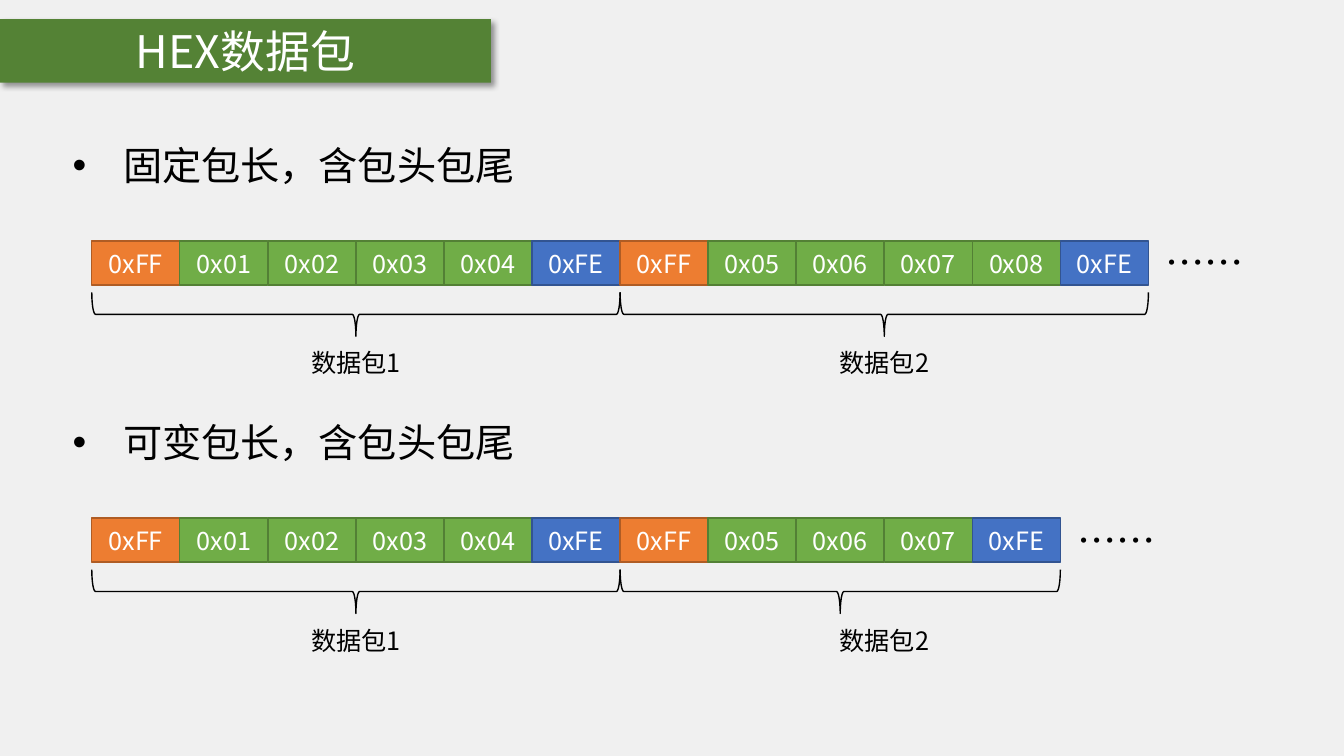
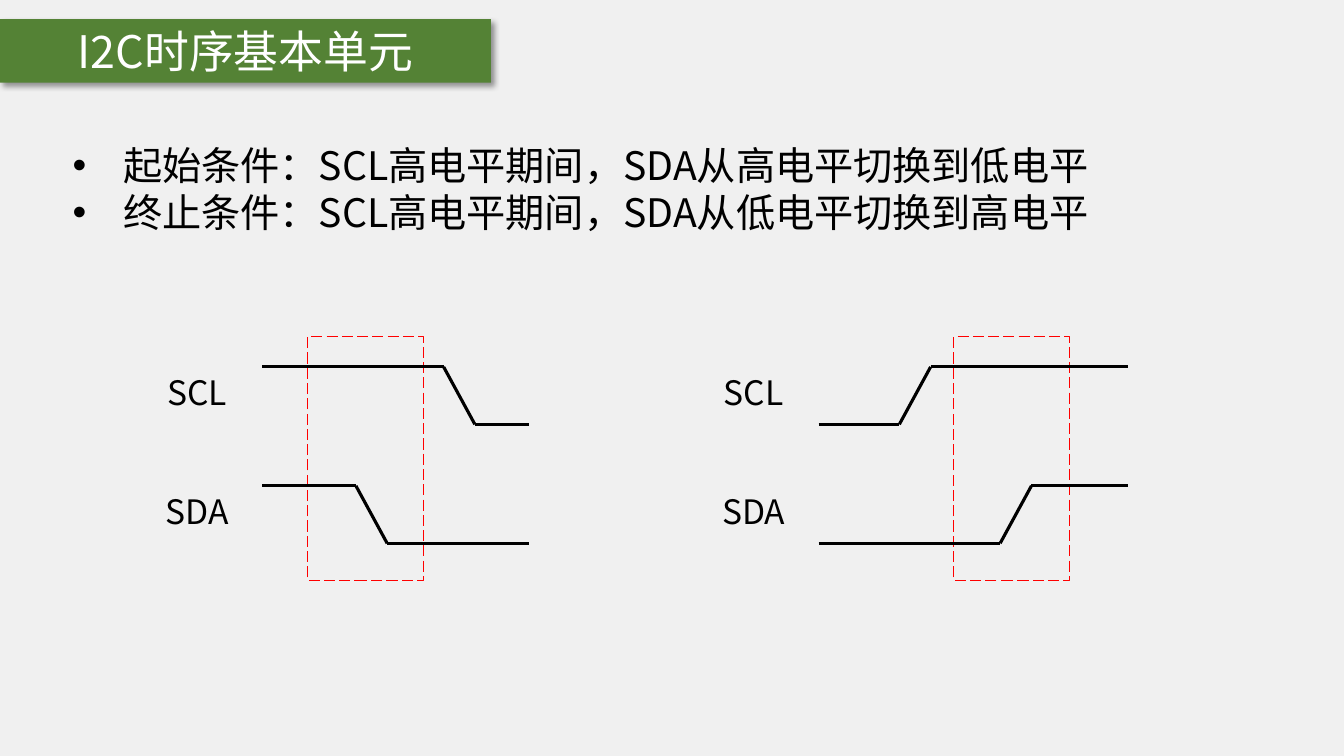
import lxml.etree
import pptx
import pptx.dml.color
import pptx.enum.dml
import pptx.enum.shapes
import pptx.enum.text
import pptx.oxml
import pptx.oxml.ns
import pptx.util

Inches = pptx.util.Inches
Pt = pptx.util.Pt
RGBColor = pptx.dml.color.RGBColor
Shape = pptx.enum.shapes.MSO_SHAPE
Align = pptx.enum.text.PP_ALIGN
Anchor = pptx.enum.text.MSO_ANCHOR
qn = pptx.oxml.ns.qn

FONT = "Noto Sans CJK SC"
BLACK = RGBColor(0x00, 0x00, 0x00)
WHITE = RGBColor(0xFF, 0xFF, 0xFF)
RED = RGBColor(0xFF, 0x00, 0x00)
BACKGROUND = RGBColor(0xF0, 0xF0, 0xF0)
BAND = RGBColor(0x54, 0x82, 0x35)
HEADER = (RGBColor(0xED, 0x7D, 0x31), RGBColor(0xAF, 0x5C, 0x24))
PAYLOAD = (RGBColor(0x70, 0xAD, 0x47), RGBColor(0x53, 0x80, 0x35))
TRAILER = (RGBColor(0x44, 0x72, 0xC4), RGBColor(0x32, 0x54, 0x91))

BODY_LEFT, BODY_TOP, BODY_WIDTH = Inches(0.62), Inches(1.35), Inches(12.08)
BODY_LINE = Inches(0.47)
BODY_PADDING = Inches(0.1)
BODY_INDENT = Inches(0.5)

SHADOW = (
    '<a:effectLst xmlns:a="http://schemas.openxmlformats.org/drawingml/2006/main">'
    '<a:outerShdw blurRad="50800" dist="38100" dir="2700000" algn="tl" rotWithShape="0">'
    '<a:srgbClr val="000000"><a:alpha val="40000"/></a:srgbClr>'
    '</a:outerShdw></a:effectLst>'
)


def write_text(shape, text, size=18, color=BLACK, align=Align.CENTER,
               anchor=Anchor.TOP, bullet=False):
    frame = shape.text_frame
    frame.word_wrap = True
    frame.auto_size = pptx.enum.text.MSO_AUTO_SIZE.NONE
    frame.vertical_anchor = anchor
    frame.text = text
    for paragraph in frame.paragraphs:
        paragraph.alignment = align
        paragraph.space_before = Pt(0)
        if bullet:
            properties = paragraph._p.get_or_add_pPr()
            properties.set("marL", str(BODY_INDENT))
            properties.set("indent", str(-BODY_INDENT))
            lxml.etree.SubElement(properties, qn("a:buFont")).set("typeface", "Arial")
            lxml.etree.SubElement(properties, qn("a:buChar")).set("char", "•")
        for run in paragraph.runs:
            run.font.size = Pt(size)
            run.font.color.rgb = color
            run.font.name = FONT
            east_asian = lxml.etree.SubElement(run._r.get_or_add_rPr(), qn("a:ea"))
            east_asian.set("typeface", FONT)


def add_titled_slide(layout, title, lists, list_pitch=0):
    slide = presentation.slides.add_slide(presentation.slide_layouts[layout])
    band, *bodies = slide.placeholders
    band.left, band.top = 0, Inches(0.19)
    band.width, band.height = Inches(4.87), Inches(0.63)
    band.fill.solid()
    band.fill.fore_color.rgb = BAND
    band._element.spPr.append(pptx.oxml.parse_xml(SHADOW))
    write_text(band, title, size=32, color=WHITE, anchor=Anchor.MIDDLE)
    for index, (body, items) in enumerate(zip(bodies, lists)):
        body.left, body.top = BODY_LEFT, BODY_TOP + index * list_pitch
        body.width = BODY_WIDTH
        body.height = BODY_PADDING + len(items) * BODY_LINE
        write_text(body, "\n".join(items), size=28, align=Align.LEFT, bullet=True)
    return slide


presentation = pptx.Presentation()
presentation.slide_width = Inches(13.33)
presentation.slide_height = Inches(7.5)
master_fill = presentation.slide_master.background.fill
master_fill.solid()
master_fill.fore_color.rgb = BACKGROUND

GRID_LEFT = Inches(0.91)
COLUMN = Inches(10.48) // 12
ROW = COLUMN // 2
BLOCK_PITCH = Inches(2.75)
LABEL_WIDTH = Inches(1.31)

packet_slide = add_titled_slide(
    3, "HEX数据包", [["固定包长，含包头包尾"], ["可变包长，含包头包尾"]], BLOCK_PITCH)
packet_blocks = [
    [["0x01", "0x02", "0x03", "0x04"], ["0x05", "0x06", "0x07", "0x08"]],
    [["0x01", "0x02", "0x03", "0x04"], ["0x05", "0x06", "0x07"]],
]
for block, packets in enumerate(packet_blocks):
    bytes_top = Inches(2.39) + block * BLOCK_PITCH
    brace_top = bytes_top + Inches(0.51)
    label_top = bytes_top + Inches(1.01)
    byte_group = packet_slide.shapes.add_group_shape()
    column = 0
    for number, payload in enumerate(packets, start=1):
        first_column = column
        for value in ["0xFF", *payload, "0xFE"]:
            fill, outline = {"0xFF": HEADER, "0xFE": TRAILER}.get(value, PAYLOAD)
            cell = byte_group.shapes.add_shape(
                Shape.RECTANGLE, GRID_LEFT + column * COLUMN, bytes_top, COLUMN, ROW)
            cell.shadow.inherit = False
            cell.fill.solid()
            cell.fill.fore_color.rgb = fill
            cell.line.color.rgb = outline
            cell.line.width = Pt(1)
            write_text(cell, value, color=WHITE, anchor=Anchor.MIDDLE)
            column += 1

        span = (column - first_column) * COLUMN
        brace_center = GRID_LEFT + first_column * COLUMN + span // 2
        brace = packet_slide.shapes.add_shape(
            Shape.RIGHT_BRACE, brace_center - ROW // 2,
            brace_top + ROW // 2 - span // 2, ROW, span)
        brace.rotation = 90
        brace.shadow.inherit = False
        brace.fill.background()
        brace.line.color.rgb = BLACK
        brace.line.width = Pt(1)

        label_center = GRID_LEFT + (first_column + 3) * COLUMN
        label = packet_slide.shapes.add_textbox(
            label_center - LABEL_WIDTH // 2, label_top, LABEL_WIDTH, Inches(0.4))
        write_text(label, f"数据包{number}")

    dots = packet_slide.shapes.add_textbox(
        GRID_LEFT + column * COLUMN, bytes_top - Inches(0.07), Inches(1.12), Inches(0.57))
    write_text(dots, "……", size=28)

SIGNAL_TOP = 3.64
SIGNAL_PITCH = 1.18
SIGNAL_SWING = 0.57
EDGE_WIDTH = 0.31
NAME_WIDTH = 1.29

timing_slide = add_titled_slide(1, "I2C时序基本单元", [[
    "起始条件：SCL高电平期间，SDA从高电平切换到低电平",
    "终止条件：SCL高电平期间，SDA从低电平切换到高电平",
]])
conditions = [
    {"left": 1.31, "right": 5.25, "window": 3.05, "levels": (0, 1),
     "edges": {"SCL": 4.4, "SDA": 3.53}},
    {"left": 6.83, "right": 11.19, "window": 9.46, "levels": (1, 0),
     "edges": {"SCL": 8.92, "SDA": 9.92}},
]
for condition in conditions:
    window = timing_slide.shapes.add_shape(
        Shape.RECTANGLE, Inches(condition["window"]), Inches(SIGNAL_TOP - 0.3),
        Inches(1.15), Inches(2.42))
    window.shadow.inherit = False
    window.fill.background()
    window.line.color.rgb = RED
    window.line.width = Pt(1)
    window.line.dash_style = pptx.enum.dml.MSO_LINE.LONG_DASH

    for row, (signal, edge) in enumerate(condition["edges"].items()):
        top = SIGNAL_TOP + row * SIGNAL_PITCH
        name = timing_slide.shapes.add_textbox(
            Inches(condition["left"]), Inches(top), Inches(NAME_WIDTH), Inches(0.5))
        write_text(name, signal, size=24)

        before, after = [top + level * SIGNAL_SWING for level in condition["levels"]]
        points = [(condition["left"] + NAME_WIDTH, before), (edge, before),
                  (edge + EDGE_WIDTH, after), (condition["right"], after)]
        wave = timing_slide.shapes.add_group_shape()
        for start, end in zip(points, points[1:]):
            segment = wave.shapes.add_connector(
                pptx.enum.shapes.MSO_CONNECTOR.STRAIGHT,
                *[Inches(value) for value in start + end])
            segment.line.color.rgb = BLACK
            segment.line.width = Pt(2.25)
            lxml.etree.SubElement(segment._element.spPr, qn("a:effectLst"))

presentation.save("out.pptx")
